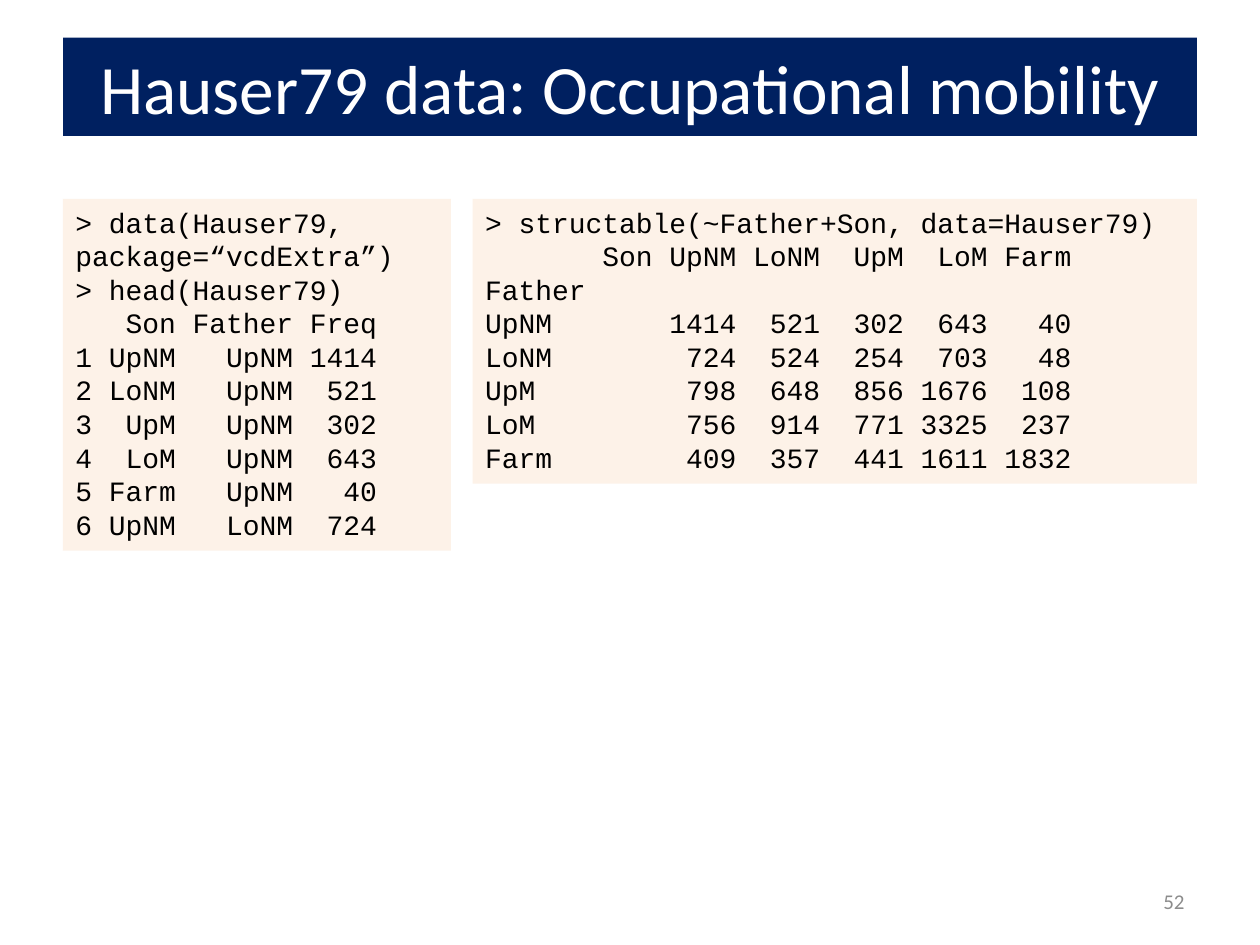
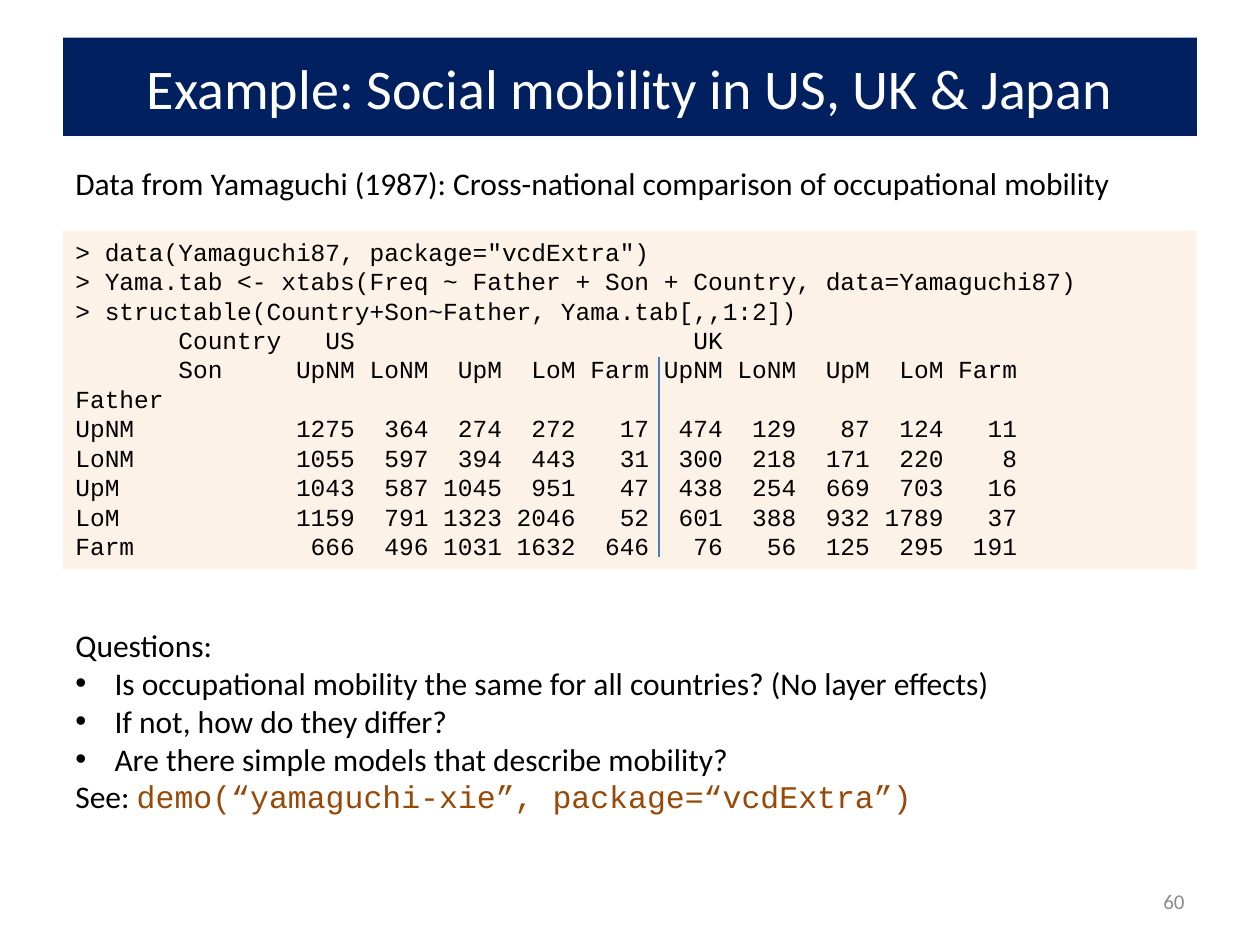
from dataclasses import dataclass

from lxml import etree
from pptx import Presentation
from pptx import util as u
from pptx.dml.color import RGBColor
from pptx.enum import shapes, text
from pptx.oxml import ns


@dataclass(frozen=True)
class Theme:
    navy: str = "002060"
    cream: str = "FDEADA"
    cream_opacity: int = 60
    black: str = "000000"
    white: str = "FFFFFF"
    grey: str = "8C8C8C"
    brown: str = "984807"
    rule_blue: str = "4B7EBC"
    body_font: str = "Calibri"
    code_font: str = "Courier New"
    body_size: float = 18
    number_size: float = 12
    rule_width: float = 1.25
    left: float = 1.27
    width: float = 22.86
    bullet_indent: float = 0.79


THEME = Theme()

HAUSER_HEAD = """\
> data(Hauser79, package=“vcdExtra”)
> head(Hauser79)
   Son Father Freq
1 UpNM   UpNM 1414
2 LoNM   UpNM  521
3  UpM   UpNM  302
4  LoM   UpNM  643
5 Farm   UpNM   40
6 UpNM   LoNM  724"""

HAUSER_TABLE = """\
> structable(~Father+Son, data=Hauser79)
       Son UpNM LoNM  UpM  LoM Farm
Father
UpNM       1414  521  302  643   40
LoNM        724  524  254  703   48
UpM         798  648  856 1676  108
LoM         756  914  771 3325  237
Farm        409  357  441 1611 1832"""

YAMAGUCHI_TABLE = """\
> data(Yamaguchi87, package="vcdExtra")
> Yama.tab <- xtabs(Freq ~ Father + Son + Country, data=Yamaguchi87)
> structable(Country+Son~Father, Yama.tab[,,1:2])
       Country   US                       UK
       Son     UpNM LoNM  UpM  LoM Farm UpNM LoNM  UpM  LoM Farm
Father
UpNM           1275  364  274  272   17  474  129   87  124   11
LoNM           1055  597  394  443   31  300  218  171  220    8
UpM            1043  587 1045  951   47  438  254  669  703   16
LoM            1159  791 1323 2046   52  601  388  932 1789   37
Farm            666  496 1031 1632  646   76   56  125  295  191"""

QUESTIONS = [
    "Is occupational mobility the same for all countries? (No layer effects)",
    "If not, how do they differ?",
    "Are there simple models that describe mobility?",
]


def format_run(run, size, color, font=THEME.body_font):
    run.font.size = u.Pt(size)
    run.font.name = font
    run.font.color.rgb = RGBColor.from_string(color)


def add_text(slide, left, top, width, height, lines, size=THEME.body_size,
             color=THEME.black, font=THEME.body_font):
    """Add a wrapped text box with one paragraph for each line."""
    box = slide.shapes.add_textbox(u.Cm(left), u.Cm(top), u.Cm(width), u.Cm(height))
    frame = box.text_frame
    frame.word_wrap = True
    frame.auto_size = text.MSO_AUTO_SIZE.SHAPE_TO_FIT_TEXT
    frame.text = "\n".join(lines)
    for paragraph in frame.paragraphs:
        for run in paragraph.runs:
            format_run(run, size, color, font)
    return box


def add_code(slide, left, top, width, height, code, size):
    box = add_text(slide, left, top, width, height, code.split("\n"), size,
                   font=THEME.code_font)
    box.fill.solid()
    box.fill.fore_color.rgb = RGBColor.from_string(THEME.cream)
    color = box.fill._xPr.find(".//" + ns.qn("a:srgbClr"))
    etree.SubElement(color, ns.qn("a:alpha"), val=str(THEME.cream_opacity * 1000))


def add_bullet(paragraph):
    properties = paragraph._p.get_or_add_pPr()
    indent = u.Cm(THEME.bullet_indent)
    properties.set("marL", str(indent))
    properties.set("indent", str(-indent))
    etree.SubElement(properties, ns.qn("a:buFont"), typeface="Arial")
    etree.SubElement(properties, ns.qn("a:buChar"), char="•")


def add_rule(slide, x, top, bottom):
    rule = slide.shapes.add_connector(shapes.MSO_CONNECTOR.STRAIGHT,
                                      u.Cm(x), u.Cm(top), u.Cm(x), u.Cm(bottom))
    rule.line.color.rgb = RGBColor.from_string(THEME.rule_blue)
    rule.line.width = u.Pt(THEME.rule_width)
    etree.SubElement(rule._element.spPr, ns.qn("a:effectLst"))


def add_slide(presentation, title, title_size, number):
    """Add a slide with the navy title band and its page number."""
    slide = presentation.slides.add_slide(presentation.slide_layouts.get_by_name("Title Only"))
    band = slide.shapes.title
    band.left, band.top = u.Cm(THEME.left), u.Cm(0.76)
    band.width, band.height = u.Cm(THEME.width), u.Cm(1.98)
    band.fill.solid()
    band.fill.fore_color.rgb = RGBColor.from_string(THEME.navy)
    frame = band.text_frame
    frame.text = title
    frame.word_wrap = True
    frame.auto_size = text.MSO_AUTO_SIZE.NONE
    frame.vertical_anchor = text.MSO_ANCHOR.MIDDLE
    frame.paragraphs[0].alignment = text.PP_ALIGN.CENTER
    format_run(frame.paragraphs[0].runs[0], title_size, THEME.white)

    page = add_text(slide, 18.21, 17.65, 5.92, 1.02, [str(number)],
                    THEME.number_size, THEME.grey).text_frame
    page.auto_size = text.MSO_AUTO_SIZE.NONE
    page.vertical_anchor = text.MSO_ANCHOR.MIDDLE
    page.paragraphs[0].alignment = text.PP_ALIGN.RIGHT
    return slide


def build_hauser(presentation):
    slide = add_slide(presentation, "Hauser79 data: Occupational mobility", 39.6, 52)
    add_code(slide, THEME.left, 4.01, 7.82, 7.09, HAUSER_HEAD, 16)
    add_code(slide, 9.53, 4.01, 14.6, 5.74, HAUSER_TABLE, 16)


def build_yamaguchi(presentation):
    slide = add_slide(presentation, "Example: Social mobility in US, UK & Japan", 32, 60)
    add_code(slide, THEME.left, 4.65, THEME.width, 6.83, YAMAGUCHI_TABLE, 14)
    add_text(slide, THEME.left, 3.18, THEME.width, 1.02,
             ["Data from Yamaguchi (1987): Cross-national comparison of occupational mobility"])
    questions = add_text(slide, THEME.left, 12.5, THEME.width, 4.11,
                         ["Questions:", *QUESTIONS, "See: "])
    paragraphs = questions.text_frame.paragraphs
    for paragraph in paragraphs[1:-1]:
        add_bullet(paragraph)
    demo = paragraphs[-1].add_run()
    demo.text = "demo(“yamaguchi-xie”, package=“vcdExtra”)"
    format_run(demo, THEME.body_size, THEME.brown, THEME.code_font)
    add_rule(slide, 13.28, 7.19, 11.23)


def main():
    presentation = Presentation()
    presentation.slide_width, presentation.slide_height = u.Cm(25.4), u.Cm(19.05)
    build_hauser(presentation)
    build_yamaguchi(presentation)
    presentation.save("out.pptx")


if __name__ == "__main__":
    main()
